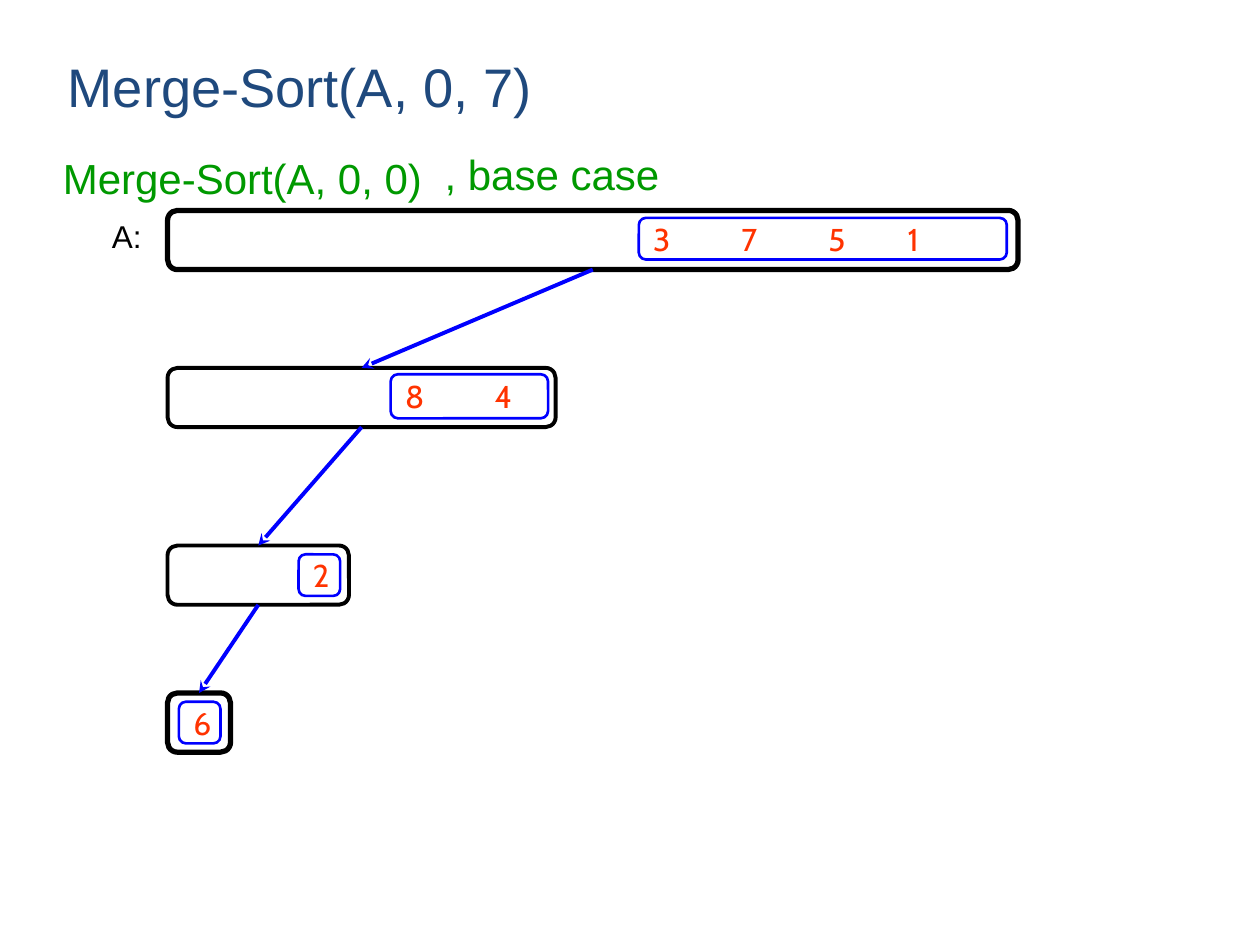
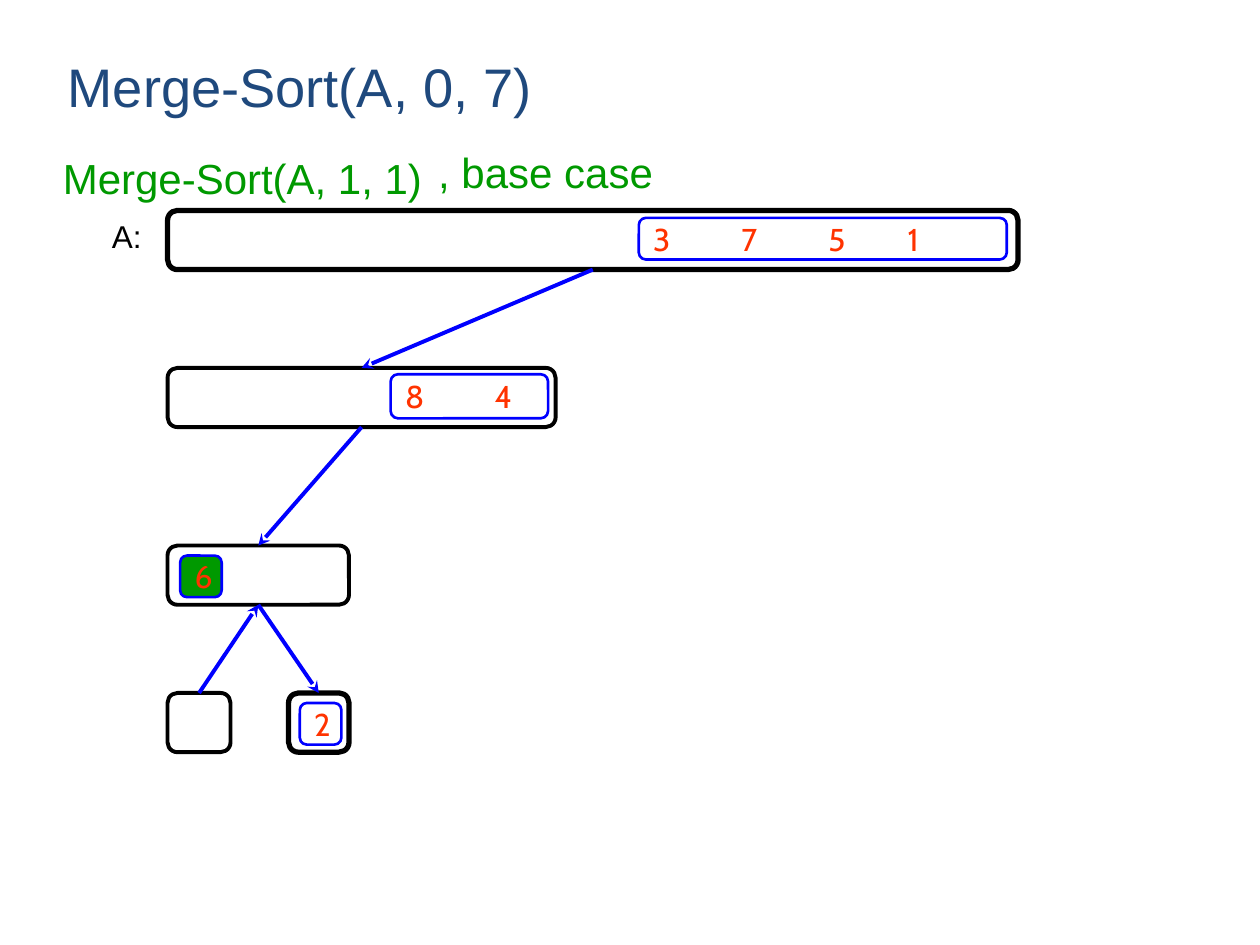
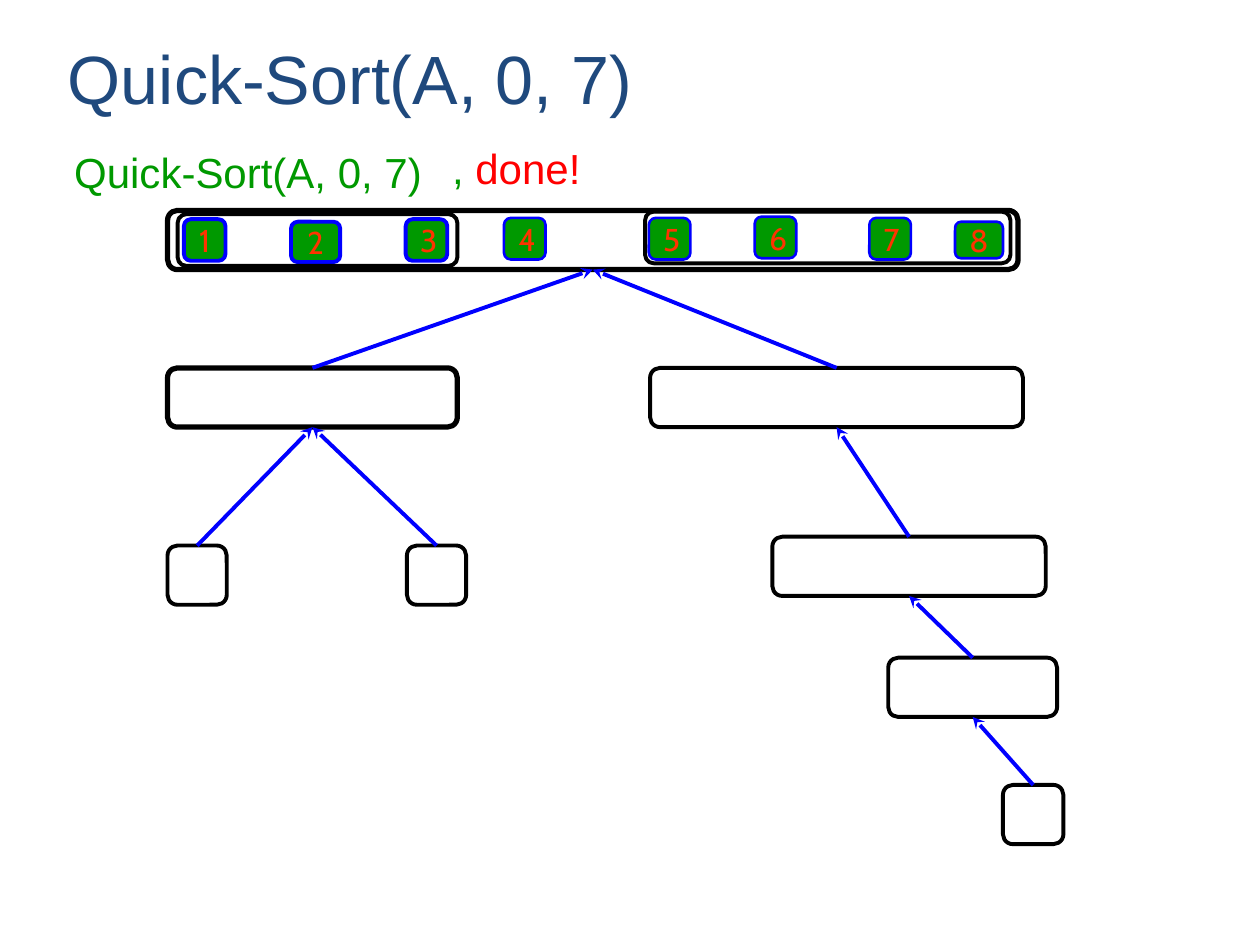
from lxml import etree
from pptx import Presentation
from pptx.dml.color import RGBColor
from pptx.enum import shapes as kinds, text as styles
from pptx.oxml import ns
from pptx.util import Inches, Pt

BLACK = RGBColor(0x00, 0x00, 0x00)
NAVY = RGBColor(0x1F, 0x49, 0x7D)
BLUE = RGBColor(0x00, 0x00, 0xFF)
GREEN = RGBColor(0x00, 0x99, 0x00)
RED = RGBColor(0xFF, 0x00, 0x00)
ORANGE = RGBColor(0xFF, 0x33, 0x00)

TOP, LEFT, BOTTOM = 0, 1, 2
TREE_LEFT = 1.33
LEVELS = [1.67, 2.92, 4.33, 5.5]
NODE_HEIGHT = 0.47
THIN, MEDIUM, THICK = 1.5, 2.25, 3
CELL = 0.33


def add_text(slide, box, runs, size, anchor=styles.MSO_ANCHOR.TOP):
    """Write one paragraph of (text, colour) runs in the given box."""
    frame = slide.shapes.add_textbox(*map(Inches, box)).text_frame
    frame.word_wrap = True
    frame.vertical_anchor = anchor
    paragraph = frame.paragraphs[0]
    paragraph.font.name = "Arial"
    paragraph.font.size = Pt(size)
    for words, colour in runs:
        run = paragraph.add_run()
        run.text = words
        run.font.color.rgb = colour


def add_title(slide, title, size):
    """Write the slide title."""
    add_text(slide, (0.44, 0.35, 8.25, 0.64), [(title, NAVY)], size, styles.MSO_ANCHOR.BOTTOM)


def add_box(shapes, box, colour, weight, fill=None):
    """Draw a rounded outline, filled only when a colour is given."""
    shape = shapes.add_shape(kinds.MSO_SHAPE.ROUNDED_RECTANGLE, *map(Inches, box))
    shape.shadow.inherit = False
    shape.line.color.rgb = colour
    shape.line.width = Pt(weight)
    if fill is None:
        shape.fill.background()
    else:
        shape.fill.solid()
        shape.fill.fore_color.rgb = fill
    return shape


def add_node(slide, left, top, width, weight=MEDIUM):
    """Draw one call of the recursion tree."""
    return add_box(slide.shapes, (left, top, width, NODE_HEIGHT), BLACK, weight)


def add_values(shapes, node, box, values, fill=None, weight=THIN, stops=()):
    """Draw a blue cell offset from its node, with values at tab stops."""
    left, top, width, height = box
    position = (node.left.inches + left, node.top.inches + top, width, height)
    shape = add_box(shapes, position, BLUE, weight, fill)
    shape.text_frame.vertical_anchor = styles.MSO_ANCHOR.MIDDLE
    paragraph = shape.text_frame.paragraphs[0]
    paragraph.text = "\t".join(values)
    paragraph.alignment = styles.PP_ALIGN.LEFT if stops else styles.PP_ALIGN.CENTER
    paragraph.font.name = "Cabin"
    paragraph.font.size = Pt(18)
    paragraph.font.color.rgb = ORANGE
    if stops:
        properties = paragraph._p.get_or_add_pPr()
        tabs = etree.Element(ns.qn("a:tabLst"))
        for stop in stops:
            etree.SubElement(tabs, ns.qn("a:tab"), pos=str(Inches(stop)), algn="l")
        properties.insert(0, tabs)


def add_arrow(slide, start, start_site, end, end_site):
    """Join two nodes with a stealth arrow pointing at the second."""
    arrow = slide.shapes.add_connector(kinds.MSO_CONNECTOR.STRAIGHT, 0, 0, 0, 0)
    arrow.begin_connect(start, start_site)
    arrow.end_connect(end, end_site)
    arrow.line.color.rgb = BLUE
    arrow.line.width = Pt(MEDIUM)
    properties = arrow._element.spPr
    etree.SubElement(properties.find(ns.qn("a:ln")), ns.qn("a:tailEnd"), type="stealth")
    etree.SubElement(properties, ns.qn("a:effectLst"))


def call_down(slide, parent, child):
    """Point from a call to the call it makes."""
    add_arrow(slide, parent, BOTTOM, child, TOP)


def return_up(slide, child, parent):
    """Point from a finished call back to its caller."""
    add_arrow(slide, child, TOP, parent, BOTTOM)


def add_merge_tree(slide, call, case_left, case_top):
    """Draw the merge sort headings and upper tree, returning the pair node."""
    add_title(slide, "Merge-Sort(A, 0, 7)", 31)
    add_text(slide, (0.4, 1.16, 3.56, 0.5), [(call, GREEN)], 24)
    add_text(slide, (case_left, case_top, 2.43, 0.5), [(", base case", GREEN)], 24)
    add_text(slide, (0.79, LEVELS[0], 0.47, 0.4), [("A:", BLACK)], 18)
    array = add_node(slide, TREE_LEFT, LEVELS[0], 6.75, THICK)
    half = add_node(slide, TREE_LEFT, LEVELS[1], 3.08)
    pair = add_node(slide, TREE_LEFT, LEVELS[2], 1.44)
    add_values(slide.shapes, array, (3.74, 0.06, 2.92, CELL), "3751", stops=(0.7, 1.39, 2.02))
    add_values(slide.shapes, half, (1.77, 0.05, 1.25, 0.35), "84", stops=(0.71,))
    call_down(slide, array, half)
    call_down(slide, half, pair)
    return pair


def build_first_base_case(slide):
    """Show the call that reaches the first element."""
    pair = add_merge_tree(slide, "Merge-Sort(A, 0, 0)", 3.43, 1.13)
    first = add_node(slide, TREE_LEFT, LEVELS[3], 0.5, THICK)
    add_values(slide.shapes, pair, (1.04, 0.07, CELL, CELL), "2")
    add_values(slide.shapes, first, (0.09, 0.07, CELL, CELL), "6")
    call_down(slide, pair, first)


def build_second_base_case(slide):
    """Show the first element returned and the second one reached."""
    pair = add_merge_tree(slide, "Merge-Sort(A, 1, 1)", 3.38, 1.11)
    first = add_node(slide, TREE_LEFT, LEVELS[3], 0.5)
    second = add_node(slide, 2.29, LEVELS[3], 0.48, THICK)
    add_values(slide.shapes, pair, (0.1, 0.08, CELL, CELL), "6", GREEN)
    add_values(slide.shapes, second, (0.09, 0.08, CELL, CELL), "2")
    return_up(slide, first, pair)
    call_down(slide, pair, second)


def add_sorted_part(slide, array, frame, cells, weight):
    """Group the sorted cells of one side inside their frame."""
    group = slide.shapes.add_group_shape()
    for value, box in cells.items():
        add_values(group.shapes, array, box, value, GREEN, weight)
    left, top, width, height = frame
    position = (array.left.inches + left, array.top.inches + top, width, height)
    add_box(group.shapes, position, BLACK, MEDIUM)


def build_quick_sort_done(slide):
    """Show the finished quick sort with every call returned."""
    add_title(slide, "Quick-Sort(A, 0, 7)", 39)
    add_text(slide, (0.49, 1.11, 3.35, 0.5), [("Quick-Sort(A, 0, 7)", GREEN)], 24)
    add_text(slide, (3.49, 1.08, 2.44, 0.5), [(", ", GREEN), ("done!", RED)], 24)
    array = add_node(slide, TREE_LEFT, LEVELS[0], 6.75, THICK)

    smaller = add_node(slide, TREE_LEFT, LEVELS[1], 2.3, THICK)
    return_up(slide, smaller, array)
    for left in (TREE_LEFT, 3.23):
        return_up(slide, add_node(slide, left, LEVELS[2], NODE_HEIGHT), smaller)

    parent = array
    for left, top, width in [(5.16, LEVELS[1], 2.96), (6.13, 4.26, 2.17),
                             (7.05, 5.22, 1.34), (7.96, 6.23, 0.48)]:
        child = add_node(slide, left, top, width)
        return_up(slide, child, parent)
        parent = child

    add_sorted_part(slide, array, (0.08, 0.03, 2.22, 0.41), {
        "1": (0.13, 0.07, CELL, CELL),
        "2": (0.98, 0.09, 0.39, 0.32),
        "3": (1.89, 0.07, CELL, CELL),
    }, MEDIUM)
    add_values(slide.shapes, array, (2.67, 0.06, CELL, CELL), "4", GREEN)
    add_sorted_part(slide, array, (3.79, 0.01, 2.9, 0.41), {
        "5": (3.82, 0.06, CELL, CELL),
        "6": (4.66, 0.05, CELL, CELL),
        "7": (5.57, 0.06, CELL, CELL),
        "8": (6.25, 0.09, 0.38, 0.29),
    }, THIN)


def main():
    """Build the three slides and save them."""
    presentation = Presentation()
    presentation.slide_width = Inches(10)
    presentation.slide_height = Inches(7.5)
    for build in (build_first_base_case, build_second_base_case, build_quick_sort_done):
        build(presentation.slides.add_slide(presentation.slide_layouts[6]))
    presentation.save("out.pptx")


if __name__ == "__main__":
    main()
